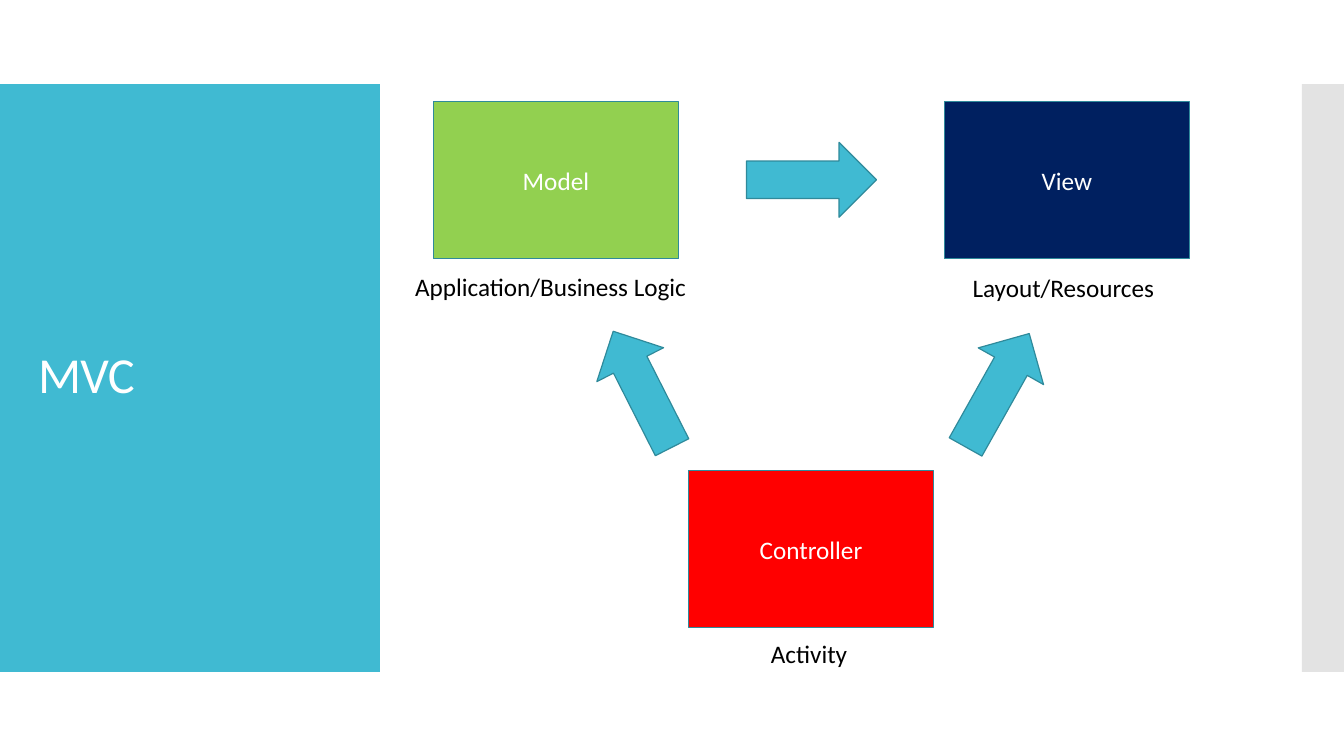
from pptx import Presentation
from pptx.dml.color import RGBColor
from pptx.enum.shapes import MSO_SHAPE
from pptx.enum.text import MSO_ANCHOR, PP_ALIGN
from pptx.util import Pt


def add_filled_shape(kind, left, top, width, height, fill, outlined=True):
    shape = slide.shapes.add_shape(kind, Pt(left), Pt(top), Pt(width), Pt(height))
    shape.shadow.inherit = False
    shape.fill.solid()
    shape.fill.fore_color.rgb = RGBColor.from_string(fill)
    if outlined:
        shape.line.color.rgb = RGBColor.from_string("2F8A9B")
        shape.line.width = Pt(0.85)
    else:
        shape.line.fill.background()
    return shape


def set_text(shape, text, size, color, alignment=PP_ALIGN.LEFT, anchor=MSO_ANCHOR.MIDDLE):
    shape.text_frame.vertical_anchor = anchor
    paragraph = shape.text_frame.paragraphs[0]
    paragraph.text = text
    paragraph.alignment = alignment
    paragraph.font.name = "Calibri"
    paragraph.font.size = Pt(size)
    paragraph.font.color.rgb = RGBColor.from_string(color)
    return paragraph


presentation = Presentation()
presentation.slide_width = Pt(960)
presentation.slide_height = Pt(540)
slide = presentation.slides.add_slide(presentation.slide_layouts[6])

add_filled_shape(MSO_SHAPE.RECTANGLE, 0, 60, 271.4, 420, "40BAD2", outlined=False)
add_filled_shape(MSO_SHAPE.RECTANGLE, 930, 60, 30, 420, "E3E3E3", outlined=False)

title = slide.shapes.add_textbox(Pt(20.2), Pt(88.6), Pt(231.8), Pt(362.2))
title.text_frame.word_wrap = True
title_paragraph = set_text(title, "MVC", 36, "FFFFFF")
title_paragraph.line_spacing = 0.9
title_paragraph.runs[0].font._element.set("spc", "-60")

components = [
    ("Model", 309.6, 72.7, "92D050"),
    ("Controller", 491.8, 336.2, "FF0000"),
    ("View", 674.6, 72.7, "002060"),
]
for name, left, top, fill in components:
    box = add_filled_shape(MSO_SHAPE.RECTANGLE, left, top, 175, 112, fill)
    set_text(box, name, 18, "FFFFFF", PP_ALIGN.CENTER)

captions = [
    ("Application/Business Logic", 289.4, 190.1, 214.6),
    ("Activity", 543.6, 452.2, 72),
    ("Layout/Resources", 687.6, 190.8, 148.3),
]
for text, left, top, width in captions:
    caption = slide.shapes.add_textbox(Pt(left), Pt(top), Pt(width), Pt(29))
    caption.text_frame.word_wrap = False
    set_text(caption, text, 18, "000000", anchor=MSO_ANCHOR.TOP)

for left, top, rotation in [(533.2, 101.7, 0), (412.6, 251.3, 243.1), (666, 252, 299.3)]:
    arrow = add_filled_shape(MSO_SHAPE.RIGHT_ARROW, left, top, 92.9, 53.5, "40BAD2")
    arrow.rotation = rotation

presentation.save("out.pptx")
